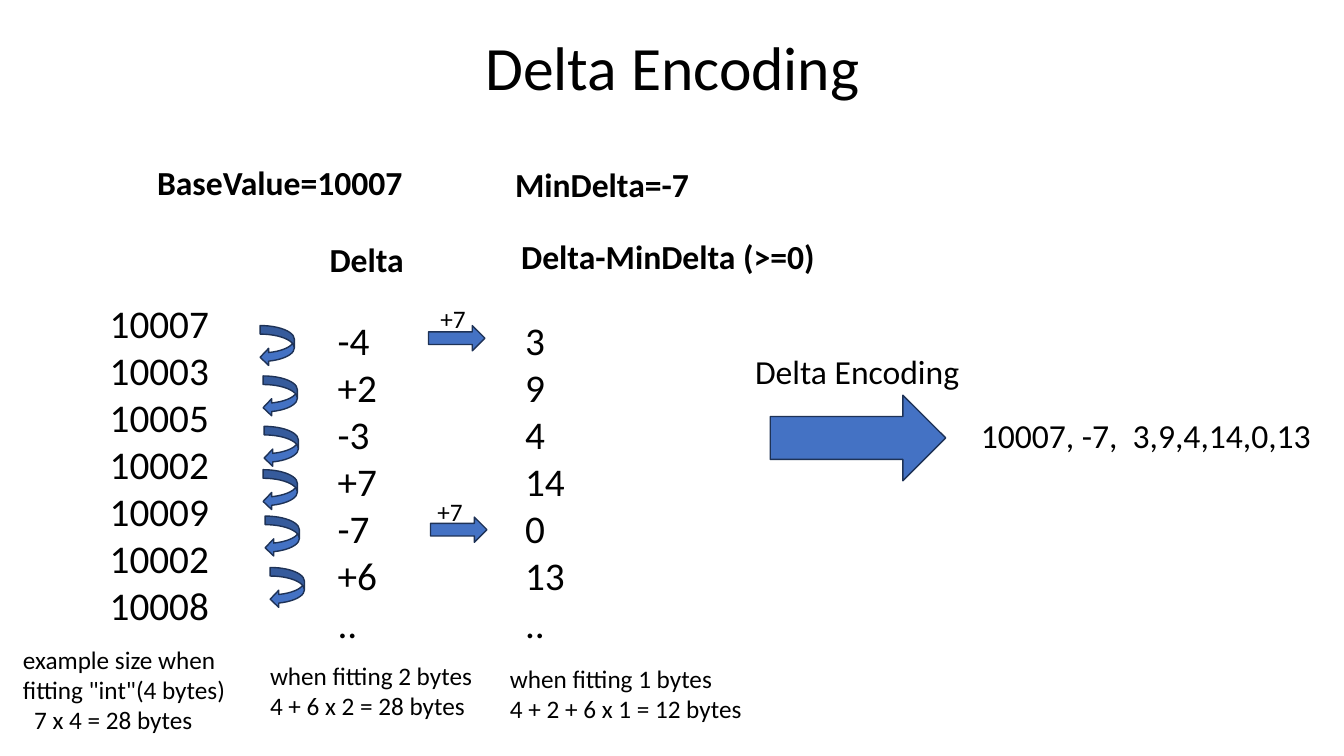
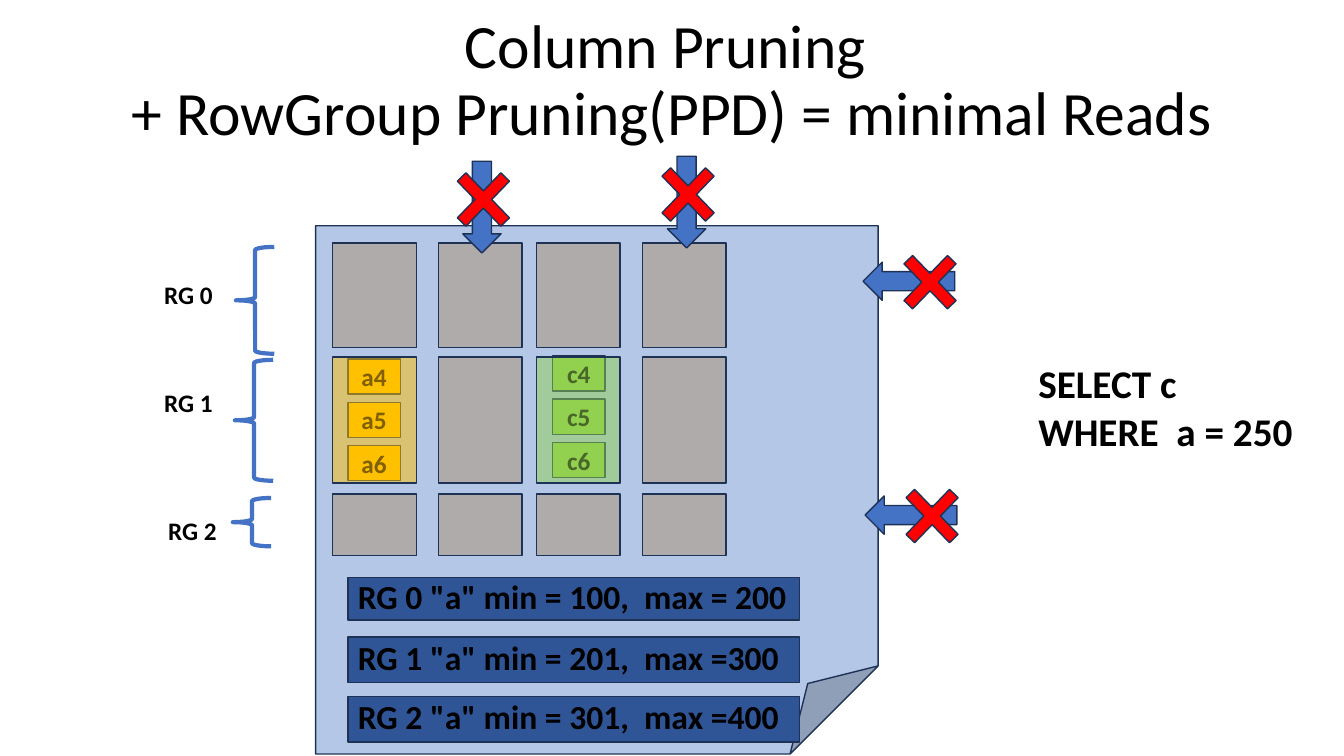
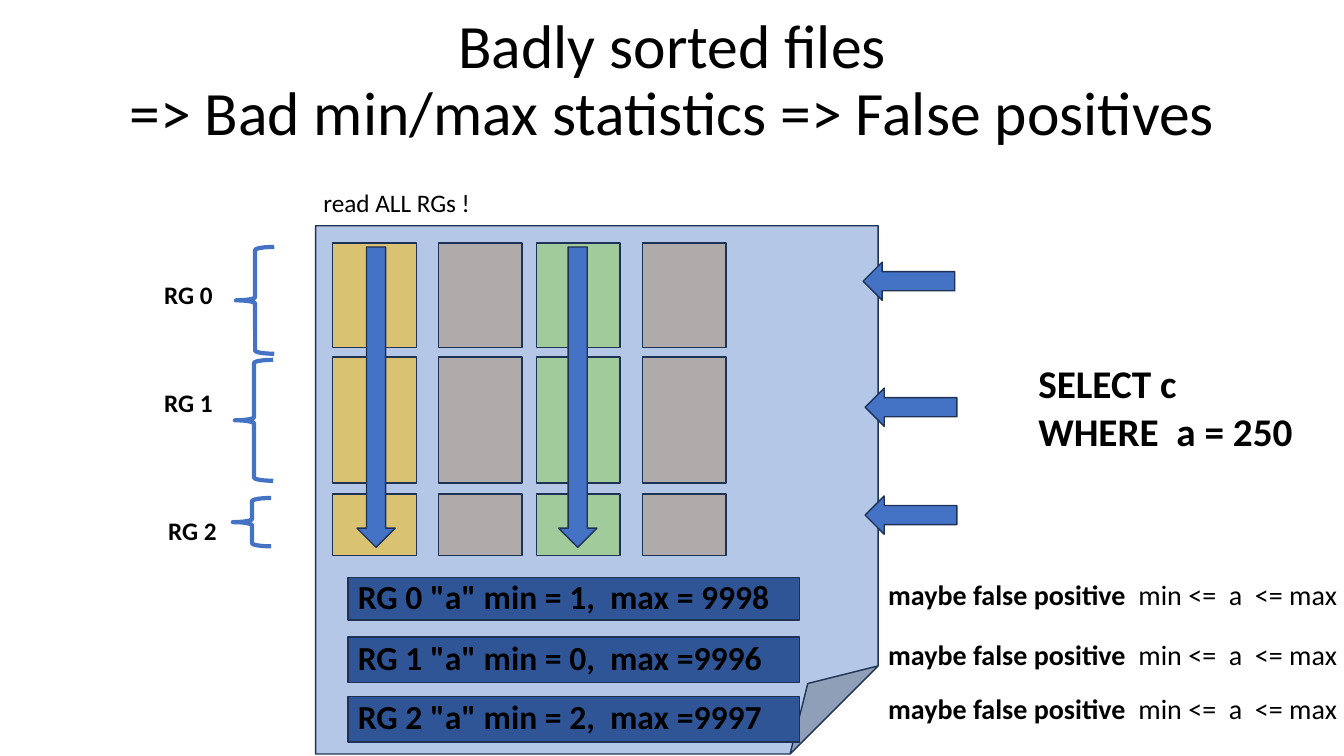
from lxml.etree import SubElement
from pptx import Presentation
from pptx.dml.color import RGBColor
from pptx.enum.shapes import MSO_SHAPE
from pptx.enum.text import MSO_ANCHOR, PP_ALIGN
from pptx.oxml.ns import qn
from pptx.util import Inches, Pt

FONT = "Calibri"
BLACK = RGBColor(0x00, 0x00, 0x00)
BLUE = RGBColor(0x44, 0x72, 0xC4)
OUTLINE = RGBColor(0x1E, 0x32, 0x56)
FILE_BLUE = RGBColor(0xB4, 0xC7, 0xE7)
STATS_BLUE = RGBColor(0x2F, 0x55, 0x97)
GRAY = RGBColor(0xAF, 0xAB, 0xAB)
ORANGE = RGBColor(0xFF, 0xC0, 0x00)
GREEN = RGBColor(0x92, 0xD0, 0x50)
RED = RGBColor(0xFF, 0x00, 0x00)

COLUMN_LEFTS = (3.3, 4.35, 5.32, 6.37)
CELL_WIDTH = 0.83
ROW_GROUPS = ((2.41, 1.04), (3.54, 1.25), (4.9, 0.61))  # top, height
COLUMN_A, COLUMN_C = 0, 2


def style_paragraph(paragraph, size, bold=False, align=PP_ALIGN.LEFT):
    paragraph.alignment = align
    font = paragraph.font
    font.name = FONT
    font.size = Pt(size)
    font.bold = bold
    font.color.rgb = BLACK


def add_text(slide, left, top, width, height, lines, size, bold=False):
    """Add one unwrapped text box with a paragraph per line."""
    box = slide.shapes.add_textbox(*map(Inches, (left, top, width, height)))
    frame = box.text_frame
    frame.word_wrap = False
    for i, line in enumerate(lines):
        paragraph = frame.paragraphs[0] if i == 0 else frame.add_paragraph()
        paragraph.text = line
        style_paragraph(paragraph, size, bold)
    return frame


def add_title(slide, text, top, height):
    frame = add_text(slide, 0.92, top, 11.5, height, [text], 44)
    frame.word_wrap = True
    frame.vertical_anchor = MSO_ANCHOR.MIDDLE
    frame.paragraphs[0].alignment = PP_ALIGN.CENTER
    frame.paragraphs[0].line_spacing = 0.9


def add_figure(slide, kind, left, top, width, height, fill=BLUE, alpha=None):
    """Add an outlined preset shape; alpha is an opacity in percent."""
    figure = slide.shapes.add_shape(kind, *map(Inches, (left, top, width, height)))
    figure.shadow.inherit = False
    figure.fill.solid()
    figure.fill.fore_color.rgb = fill
    if alpha is not None:
        color = figure.fill._xPr.find(".//" + qn("a:srgbClr"))
        SubElement(color, qn("a:alpha"), val=str(alpha * 1000))
    figure.line.color.rgb = OUTLINE
    figure.line.width = Pt(1)
    return figure


def add_label(figure, text, size, align):
    frame = figure.text_frame
    frame.word_wrap = False
    frame.vertical_anchor = MSO_ANCHOR.MIDDLE
    frame.paragraphs[0].text = text
    style_paragraph(frame.paragraphs[0], size, True, align)
    return frame


def add_brace(slide, left, top, height):
    brace = add_figure(slide, MSO_SHAPE.LEFT_BRACE, left, top, 0.38, height)
    brace.fill.background()
    brace.line.color.rgb = BLUE
    brace.line.width = Pt(3)


def add_left_arrow(slide, left, top):
    add_figure(slide, MSO_SHAPE.LEFT_ARROW, left, top, 0.91, 0.38)


def add_down_arrow(slide, left, top, length):
    add_figure(slide, MSO_SHAPE.DOWN_ARROW, left, top, 0.38, length)


def add_cross(slide, left, top):
    cross = add_figure(slide, MSO_SHAPE.MATH_MULTIPLY, left, top, 0.83, 0.86, RED)
    cross.adjustments[0] = 0.143


def add_column_file(slide, statistics):
    """Draw the file page, its min/max bars, the row group names and the query."""
    add_figure(slide, MSO_SHAPE.FOLDED_CORNER, 3.13, 2.24, 5.58, 5.24, FILE_BLUE)
    for i, statistic in enumerate(statistics):
        bar = add_figure(slide, MSO_SHAPE.RECTANGLE, 3.45, 5.73 + 0.59 * i,
                         4.48, 0.42 if i == 0 else 0.45, STATS_BLUE)
        frame = add_label(bar, statistic, 24, PP_ALIGN.LEFT)
        frame.margin_top, frame.margin_bottom = Inches(0), Inches(0.06)
    braces = ((2.34, 2.45, 1.06), (2.33, 3.57, 1.2), (2.31, 4.94, 0.48))
    names = ((1.53, 2.72), (1.53, 3.79), (1.57, 5.06))
    for i, (brace, name) in enumerate(zip(braces, names)):
        add_brace(slide, *brace)
        add_text(slide, *name, 0.69, 0.4, [f"RG {i}"], 18, True)
    add_text(slide, 10.2, 3.52, 2.76, 1.04, ["SELECT c", "WHERE  a = 250"], 28, True)


def add_cells(slide, tints):
    """Draw the chunk grid; tints maps (row group, column) to a see-through colour."""
    for row, (top, height) in enumerate(ROW_GROUPS):
        for column, left in enumerate(COLUMN_LEFTS):
            tint = tints.get((row, column))
            add_figure(slide, MSO_SHAPE.RECTANGLE, left, top, CELL_WIDTH, height,
                       tint or GRAY, 50 if tint else None)


def add_values(slide, left, top, column_name, fill):
    for i in range(3):
        value = add_figure(slide, MSO_SHAPE.RECTANGLE, left, top + 0.43 * i,
                           0.52, 0.35, fill)
        add_label(value, f"{column_name}{i + 4}", 18, PP_ALIGN.CENTER)


def build_delta_encoding(slide):
    add_title(slide, "Delta Encoding", 0.15, 1.09)

    for left, top, width, heading in (
        (1.46, 1.56, 2.66, "BaseValue=10007"),
        (5.01, 1.58, 1.95, "MinDelta=-7"),
        (3.17, 2.32, 0.95, "Delta"),
        (5.07, 2.29, 3.15, "Delta-MinDelta (>=0)"),
    ):
        add_text(slide, left, top, width, 0.5, [heading], 24, True)

    values = (10007, 10003, 10005, 10002, 10009, 10002, 10008)
    deltas = [after - before for before, after in zip(values, values[1:])]
    offsets = [delta - min(deltas) for delta in deltas]
    add_text(slide, 0.99, 2.92, 1.2, 3.4, map(str, values), 28)
    add_text(slide, 3.25, 3.09, 0.6, 3.4, [f"{d:+d}" for d in deltas] + [".."], 28)
    add_text(slide, 5.11, 3.09, 0.6, 3.4, [*map(str, offsets), ".."], 28)

    for left, top in ((2.58, 3.23), (2.61, 3.73), (2.62, 4.23),
                      (2.61, 4.66), (2.63, 5.12), (2.68, 5.63)):
        add_figure(slide, MSO_SHAPE.CURVED_LEFT_ARROW, left, top, 0.34, 0.4)

    int_size = add_text(slide, 0.13, 6.34, 2.24, 1.01,
                        ['example size when\nfitting "int"(4 bytes)',
                         "7 x 4 = 28 bytes"], 18)
    int_size.paragraphs[1]._p.get_or_add_pPr().set("marL", str(Inches(0.11)))
    add_text(slide, 2.58, 6.5, 2.24, 0.71,
             ["when fitting 2 bytes", "4 + 6 x 2 = 28 bytes"], 18)
    add_text(slide, 4.96, 6.53, 2.53, 0.71,
             ["when fitting 1 bytes", "4 + 2 + 6 x 1 = 12 bytes"], 18)

    for arrow, shift in (((4.25, 3.23), (4.27, 2.96)), ((4.27, 5.13), (4.24, 4.87))):
        add_figure(slide, MSO_SHAPE.RIGHT_ARROW, *arrow, 0.56, 0.25)
        add_text(slide, *shift, 0.46, 0.4, ["+7"], 18)

    add_figure(slide, MSO_SHAPE.RIGHT_ARROW, 7.64, 3.92, 1.74, 0.85)
    add_text(slide, 7.39, 3.43, 2.25, 0.5, ["Delta Encoding"], 24)
    add_text(slide, 9.63, 4.07, 3.5, 0.5, ["10007, -7,  3,9,4,14,0,13"], 24)


def build_pruning(slide):
    add_title(slide, "Column Pruning \n+ RowGroup Pruning(PPD) = minimal Reads",
              0.13, 1.37)
    add_column_file(slide, ('RG 0 "a" min = 100,  max = 200',
                            'RG 1 "a" min = 201,  max =300',
                            'RG 2 "a" min = 301,  max =400'))
    add_values(slide, 3.45, 3.56, "a", ORANGE)
    add_values(slide, 5.48, 3.53, "c", GREEN)
    add_cells(slide, {(1, COLUMN_A): ORANGE, (1, COLUMN_C): GREEN})

    for left, top in ((4.59, 1.6), (6.62, 1.55)):
        add_down_arrow(slide, left, top, 0.91)
        add_cross(slide, left - 0.21, top - 0.05)
    for left, top in ((8.56, 2.6), (8.58, 4.92)):
        add_left_arrow(slide, left, top)
        add_cross(slide, left + 0.25, top - 0.23)


def build_false_positives(slide):
    add_title(slide, "Badly sorted files\n=> Bad min/max statistics => False positives",
              0.13, 1.37)
    add_column_file(slide, ('RG 0 "a" min = 1,  max = 9998',
                            'RG 1 "a" min = 0,  max =9996',
                            'RG 2 "a" min = 2,  max =9997'))
    add_cells(slide, {(row, column): tint for row in range(len(ROW_GROUPS))
                      for column, tint in ((COLUMN_A, ORANGE), (COLUMN_C, GREEN))})

    for left, top in ((8.56, 2.6), (8.58, 3.85), (8.58, 4.92)):
        add_left_arrow(slide, left, top)
    for left in (3.54, 5.54):
        add_down_arrow(slide, left, 2.45, 2.98)

    for top in (5.68, 6.28, 6.81):
        frame = add_text(slide, 8.71, top, 4.62, 0.44, [""], 20)
        frame.word_wrap = True
        frame.margin_right = 0
        verdict = frame.paragraphs[0].add_run()
        verdict.text = "maybe false positive"
        verdict.font.bold = True
        frame.paragraphs[0].add_run().text = "  min <=  a  <= max"
    add_text(slide, 3.11, 1.81, 1.67, 0.4, ["read ALL RGs !"], 18)


def main():
    presentation = Presentation()
    presentation.slide_width = Inches(13.33)
    presentation.slide_height = Inches(7.5)
    blank = presentation.slide_layouts[6]
    for build in (build_delta_encoding, build_pruning, build_false_positives):
        build(presentation.slides.add_slide(blank))
    presentation.save("out.pptx")


if __name__ == "__main__":
    main()
